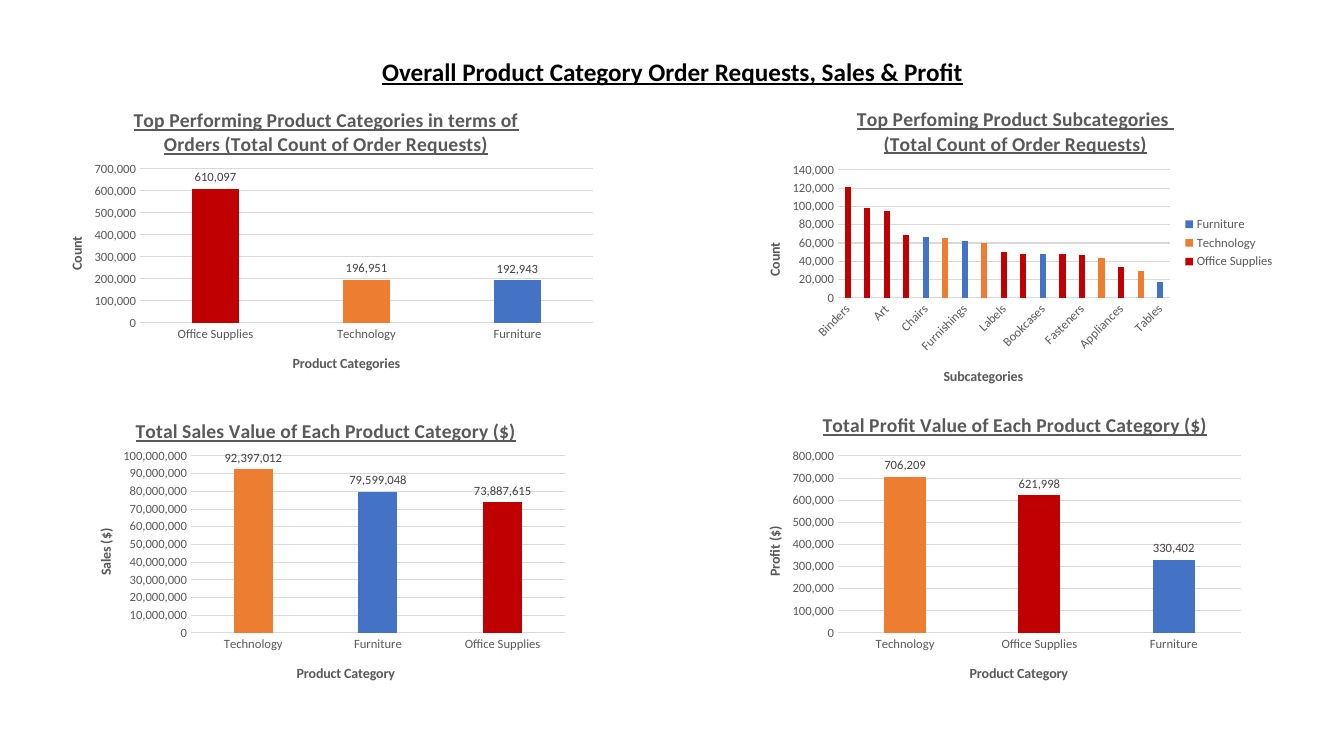
from pptx import Presentation
from pptx.chart.data import CategoryChartData
from pptx.dml.color import RGBColor
from pptx.enum.chart import XL_CHART_TYPE, XL_LABEL_POSITION, XL_LEGEND_POSITION, XL_TICK_MARK
from pptx.enum.text import MSO_ANCHOR, PP_ALIGN
from pptx.oxml import parse_xml
from pptx.oxml.ns import nsdecls, qn
from pptx.util import Pt

SCALE = 914400 / 100.8
FONT = "Calibri"
GREY, LABEL, RULE = "595959", "404040", "D9D9D9"
COLORS = {"Furniture": "4472C4", "Technology": "ED7D31", "Office Supplies": "C00000"}
KINDS = {"F": "Furniture", "T": "Technology", "O": "Office Supplies"}

HEADING = "Overall Product Category Order Requests, Sales & Profit"
HEADING_BOX = (93, 23, 1159, 100)

SUBCATEGORIES = [
    ("Binders", "O", 121000), ("Storage", "O", 98000), ("Art", "O", 95000),
    ("Paper", "O", 69000), ("Chairs", "F", 67000), ("Phones", "T", 65000),
    ("Furnishings", "F", 62000), ("Accessories", "T", 60000), ("Labels", "O", 50000),
    ("Supplies", "O", 48000), ("Bookcases", "F", 48000), ("Envelopes", "O", 48000),
    ("Fasteners", "O", 47000), ("Copiers", "T", 44000), ("Appliances", "O", 34000),
    ("Machines", "T", 29000), ("Tables", "F", 17000),
]


def by_category(order, values):
    return [(KINDS[kind], kind, value) for kind, value in zip(order, values)]


CHARTS = [
    dict(box=(41, 86, 562, 302), plot=(140, 169, 453, 154),
         title=("Top Performing Product Categories in terms of Orders "
                "(Total Count of Order Requests)", 130, 103),
         across=("Product Categories", 290, 352), up=("Count", 65, 234),
         top=700000, step=100000, legend=False,
         bars=by_category("OTF", (610097, 196951, 192943))),
    dict(box=(740, 86, 545, 314), plot=(838, 170, 332, 128),
         title=("Top Perfoming Product Subcategories \n(Total Count of Order Requests)", 854, 103),
         across=("Subcategories", 941, 365), up=("Count", 763, 240),
         top=140000, step=20000, legend=True, bars=SUBCATEGORIES),
    dict(box=(71, 396, 504, 302), plot=(191, 456, 374, 177),
         title=("Total Sales Value of Each Product Category ($)", 132, 414),
         across=("Product Category", 294, 662), up=("Sales ($)", 94, 526),
         top=100000000, step=10000000, legend=False,
         bars=by_category("TFO", (92397012, 79599048, 73887615))),
    dict(box=(740, 396, 512, 302), plot=(838, 456, 403, 177),
         title=("Total Profit Value of Each Product Category ($)", 819, 408),
         across=("Product Category", 967, 662), up=("Profit ($)", 763, 524),
         top=800000, step=100000, legend=False,
         bars=by_category("TOF", (706209, 621998, 330402))),
]


def emu(pixels):
    return round(pixels * SCALE)


def color(hex_code):
    return RGBColor.from_string(hex_code)


def paint(fill, hex_code):
    fill.solid()
    fill.fore_color.rgb = color(hex_code)


def style(font, size, hex_code, bold=False, underline=False):
    font.name, font.size = FONT, Pt(size)
    font.bold, font.underline = bold, underline
    font.color.rgb = color(hex_code)


def place(element, index, box, left, top, size=None):
    for old in element.findall(qn("c:layout")):
        element.remove(old)
    parts = [("xMode", "edge"), ("yMode", "edge"),
             ("x", (left - box[0]) / box[2]), ("y", (top - box[1]) / box[3])]
    if size:
        parts = [("layoutTarget", "inner")] + parts
        parts += [("w", size[0] / box[2]), ("h", size[1] / box[3])]
    tags = "".join(f'<c:{name} val="{value}"/>' for name, value in parts)
    element.insert(index, parse_xml(
        f'<c:layout {nsdecls("c")}><c:manualLayout>{tags}</c:manualLayout></c:layout>'))


def write_title(title, content, box, size, underline=False, turn=None):
    text, left, top = content
    frame = title.text_frame
    frame.text = text
    for para in frame.paragraphs:
        style(para.font, size, GREY, True, underline)
    if turn is not None:
        body = frame._txBody.find(qn("a:bodyPr"))
        body.set("rot", str(turn * 60000))
        body.set("vert", "horz")
    place(title._element, 1, box, left, top)


def style_axis(axis):
    axis.major_tick_mark = axis.minor_tick_mark = XL_TICK_MARK.NONE
    style(axis.tick_labels.font, 9, GREY)


def add_column_chart(page, item):
    box, bars = item["box"], item["bars"]
    data = CategoryChartData(number_format="#,##0")
    data.categories = [name for name, kind, value in bars]
    data.add_series("Furniture" if item["legend"] else "Series 1",
                    [value for name, kind, value in bars])
    if item["legend"]:
        for name in ("Technology", "Office Supplies"):
            data.add_series(name, [0])
    chart = page.shapes.add_chart(
        XL_CHART_TYPE.COLUMN_CLUSTERED, *map(emu, box), data).chart
    style(chart.font, 10, "000000")
    write_title(chart.chart_title, item["title"], box, 14, underline=True)
    place(chart._chartSpace.chart.plotArea, 0, box, *item["plot"][:2], item["plot"][2:])

    plot = chart.plots[0]
    plot.vary_by_categories = False
    plot.gap_width = 219
    plot.overlap = 100 if item["legend"] else -27
    for series in plot.series:
        paint(series.format.fill, COLORS.get(series.name, COLORS["Furniture"]))
        series.invert_if_negative = False
    for index, (name, kind, value) in enumerate(bars):
        if kind != "F":
            paint(plot.series[0].points[index].format.fill, COLORS[KINDS[kind]])

    across, up = chart.category_axis, chart.value_axis
    style_axis(across)
    style_axis(up)
    across.format.line.color.rgb = color(RULE)
    across.format.line.width = Pt(0.75)
    up.format.line.fill.background()
    up.minimum_scale, up.maximum_scale, up.major_unit = 0, item["top"], item["step"]
    up.tick_labels.number_format = "#,##0"
    up.tick_labels.number_format_is_linked = False
    up.major_gridlines.format.line.color.rgb = color(RULE)
    up.major_gridlines.format.line.width = Pt(0.75)
    write_title(across.axis_title, item["across"], box, 10)
    write_title(up.axis_title, item["up"], box, 10, turn=-90)

    chart.has_legend = item["legend"]
    if item["legend"]:
        chart.legend.position = XL_LEGEND_POSITION.RIGHT
        chart.legend.include_in_layout = False
        style(chart.legend.font, 9, GREY)
        across._element.find(qn("c:txPr")).find(qn("a:bodyPr")).set("rot", str(-45 * 60000))
    else:
        labels = plot.series[0].data_labels
        labels.show_value = True
        labels.position = XL_LABEL_POSITION.OUTSIDE_END
        labels.number_format = "#,##0"
        labels.number_format_is_linked = False
        style(labels.font, 9, LABEL)


deck = Presentation()
deck.slide_width, deck.slide_height = emu(1344), emu(756)
page = deck.slides.add_slide(deck.slide_layouts[6])

frame = page.shapes.add_textbox(*map(emu, HEADING_BOX)).text_frame
frame.word_wrap = True
frame.vertical_anchor = MSO_ANCHOR.MIDDLE
para = frame.paragraphs[0]
para.text = HEADING
para.alignment = PP_ALIGN.CENTER
para.line_spacing = 0.9
style(para.font, 18, "000000", True, True)

for item in CHARTS:
    add_column_chart(page, item)

deck.save("out.pptx")
